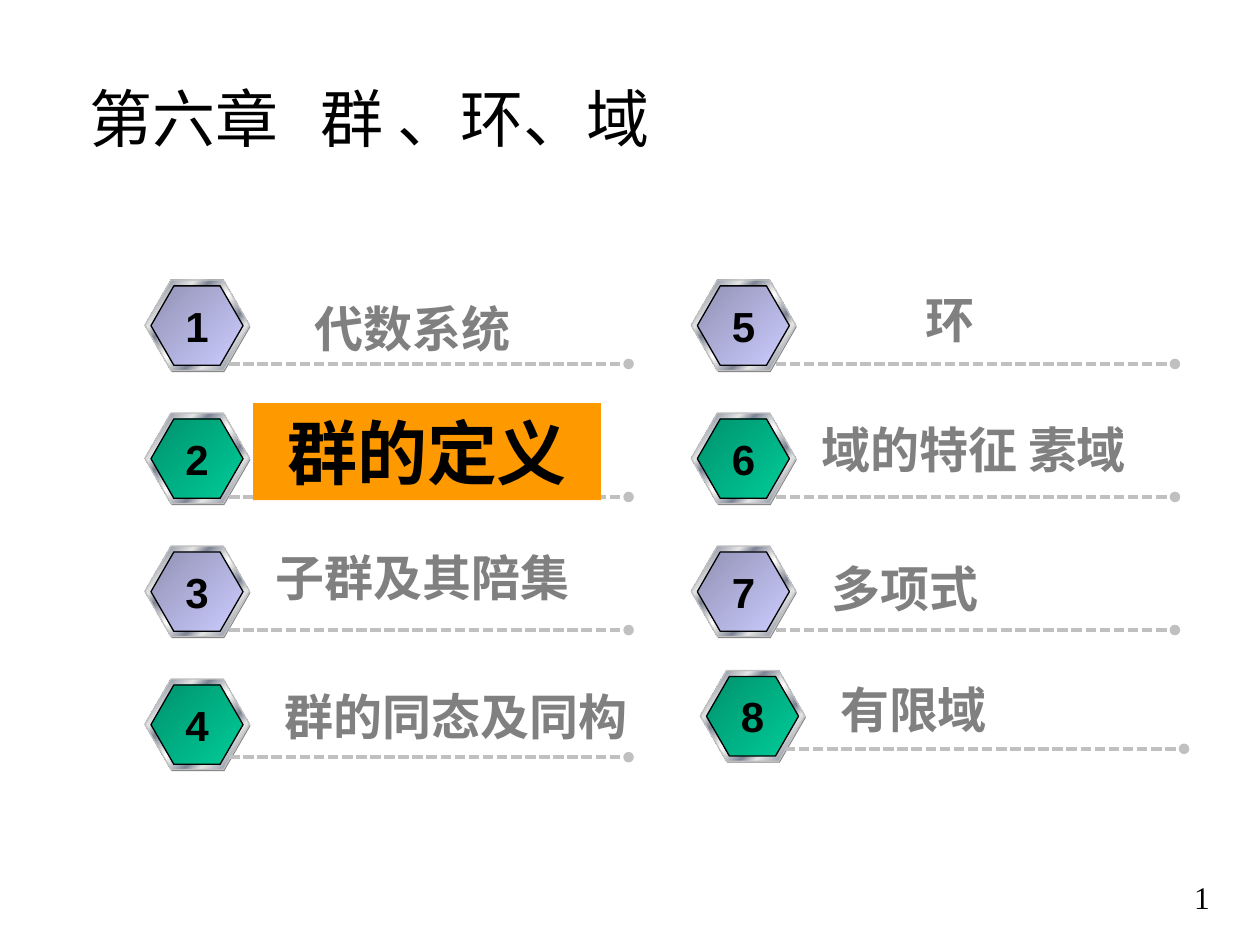
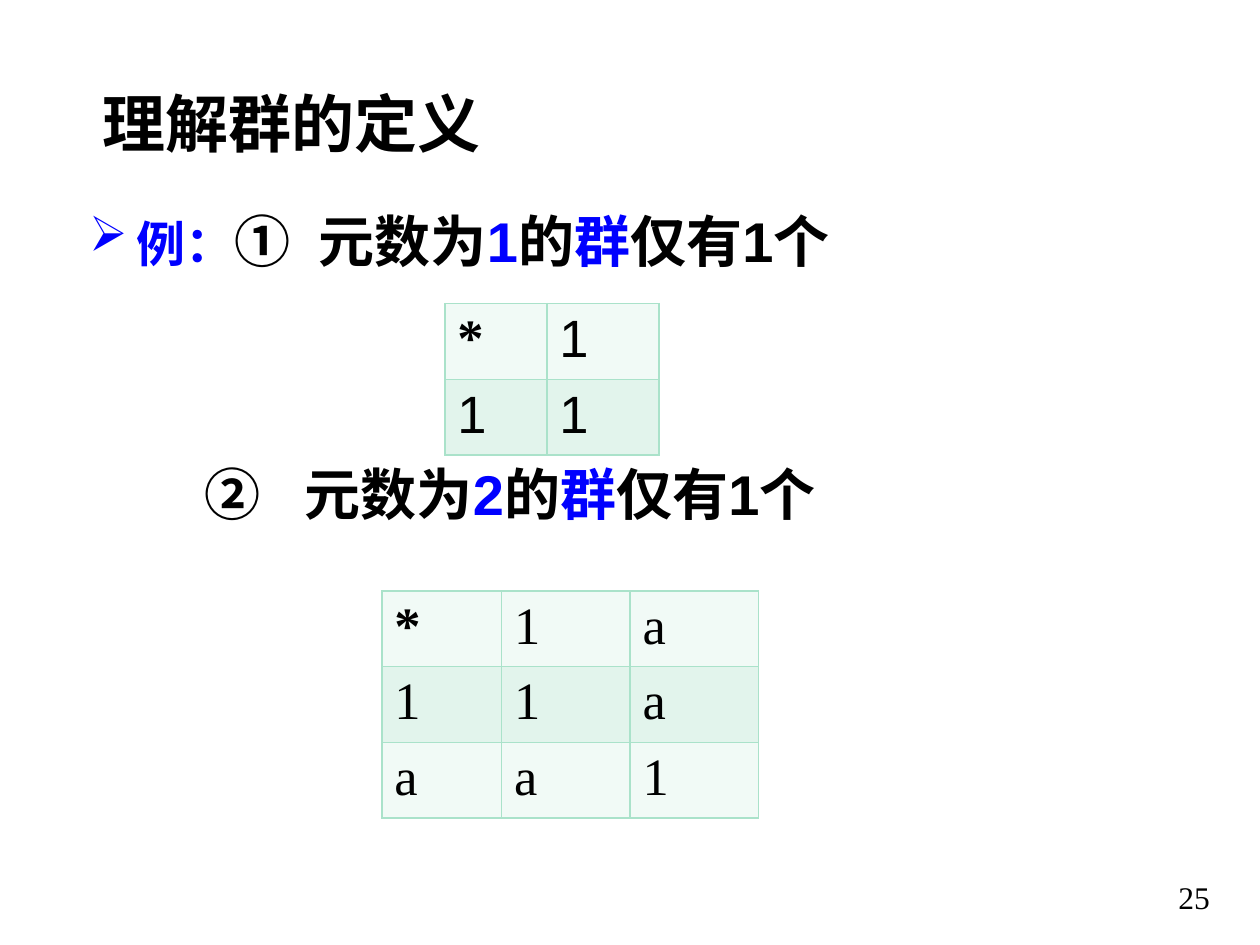
"""Build the chapter agenda and the worked-example slide on groups."""
from dataclasses import dataclass

from lxml.etree import SubElement
from pptx import Presentation
from pptx.dml.color import RGBColor
from pptx.enum.dml import MSO_LINE
from pptx.enum.shapes import MSO_CONNECTOR, MSO_SHAPE
from pptx.enum.text import MSO_ANCHOR, PP_ALIGN
from pptx.oxml.ns import qn
from pptx.util import Pt


@dataclass(frozen=True)
class Theme:
    black: str = "000000"
    grey: str = "808080"
    silver: str = "C0C0C0"
    blue: str = "0000FF"
    orange: str = "FF9900"
    border: str = "AAE2CA"
    bands: tuple = ("F1FAF6", "E2F4EC")
    lilac: tuple = ((0, "9292B6"), (100, "CCCCFF"))
    green: tuple = ((0, "00926D"), (100, "00CC99"))
    steel: tuple = ((0, "E6E6E6"), (8, "7D8496"), (26, "E6E6E6"), (34, "7D8496"),
                    (46, "E6E6E6"), (50, "FFFFFF"), (54, "E6E6E6"), (66, "7D8496"),
                    (74, "E6E6E6"), (92, "7D8496"), (100, "E6E6E6"))
    han: str = "Noto Sans CJK SC"
    sans: str = "Arial"
    serif: str = "Times New Roman"
    title_size: int = 36
    highlight_size: int = 40
    statement_size: int = 32
    cell_size: int = 30
    label_size: int = 28
    number_size: int = 24
    page_size: int = 18


THEME = Theme()

CHAPTER = [("第六章", 0), (" ", 16), ("群 、环、域", 0)]
SECTIONS = [
    ("代数系统", 172.8, 167, 132),
    ("群的定义", 144.7, 230.4, 198.7),
    ("子群及其陪集", 150.5, 309.6, 198),
    ("群的同态及同构", 155.5, 388.8, 215.3),
    ("环", 468, 162, 149.8),
    ("域的特征 素域", 462.2, 236.2, 209.5),
    ("多项式", 468, 315.4, 209.5),
    ("有限域", 473, 384.5, 215.3),
]
CURRENT = "群的定义"
CENTRED = (CURRENT, "环")
NUDGES = {8: (5.2, -4.8)}

EXAMPLE_TITLE = "理解群的定义"
STATEMENTS = [
    [("例：", THEME.blue, THEME.label_size, 0), ("①", THEME.black, THEME.statement_size, 0),
     (" ", THEME.black, THEME.statement_size, 8.9)],
    [("②", THEME.black, THEME.statement_size, 0),
     (" ", THEME.black, THEME.statement_size, 17.8)],
]
ORDERS = ["1", "2"]
CAYLEY_TABLES = [
    ((254.2, 173.5), (58.3, 64.1), THEME.sans, ["*1", "11"]),
    ((218.2, 337.7), (68.4, 73.4, 73.4), THEME.serif, ["*1a", "11a", "aa1"]),
]
CELL_HEIGHT = 43.2

ROWS = 4
COLUMN_LEFTS = (82.8, 395)
FIRST_TOP, ROW_STEP = 160, 76
BADGE = (59.8, 51.8)
FACE = (52.6, 45.4)


def colour(code):
    return RGBColor.from_string(code)


def style(run, size, ink=THEME.black, font=THEME.han, bold=True, gap=0):
    run.font.size = Pt(size)
    run.font.bold = bold
    run.font.name = font
    run.font.color.rgb = colour(ink)
    properties = run.font._element
    SubElement(properties, qn("a:ea")).set("typeface", THEME.han)
    if gap:
        properties.set("spc", str(round(gap * 100)))


def text_box(slide, left, top, width, height, wrap=True):
    box = slide.shapes.add_textbox(Pt(left), Pt(top), Pt(width), Pt(height))
    box.text_frame.word_wrap = wrap
    return box.text_frame


def write(frame, words, size, align=PP_ALIGN.LEFT, **looks):
    frame.text = words
    frame.paragraphs[0].alignment = align
    style(frame.paragraphs[0].runs[0], size, **looks)


def page_number(slide, number):
    frame = text_box(slide, 530.6, 498.2, 167.8, 28.8)
    write(frame, str(number), THEME.page_size, PP_ALIGN.RIGHT, font=THEME.serif, bold=False)


def hexagon(shapes, left, top, size, fill, outline=None):
    shape = shapes.add_shape(MSO_SHAPE.HEXAGON, Pt(left), Pt(top), *map(Pt, size))
    shape.shadow.inherit = False
    shape.adjustments[0] = 0.289
    if isinstance(fill, str):
        shape.fill.solid()
        shape.fill.fore_color.rgb = colour(fill)
    else:
        shape.fill.gradient()
        shape.fill.gradient_angle = 315
        stops = shape._element.spPr.find(qn("a:gradFill")).find(qn("a:gsLst"))
        for stop in list(stops):
            stops.remove(stop)
        for position, code in fill:
            stop = SubElement(stops, qn("a:gs"), pos=str(position * 1000))
            SubElement(stop, qn("a:srgbClr"), val=code)
    if outline:
        shape.line.color.rgb = colour(outline)
        shape.line.width = Pt(0.75)
    else:
        shape.line.fill.background()


def dotted_rule(slide, left, y, length):
    rule = slide.shapes.add_connector(
        MSO_CONNECTOR.STRAIGHT, Pt(left), Pt(y), Pt(left + length), Pt(y))
    rule.line.color.rgb = colour(THEME.silver)
    rule.line.width = Pt(2)
    rule.line.dash_style = MSO_LINE.SQUARE_DOT
    SubElement(rule.line._get_or_add_ln(), qn("a:tailEnd"), type="oval")
    SubElement(rule._element.spPr, qn("a:effectLst"))


def section_badge(slide, number):
    column, row = divmod(number - 1, ROWS)
    shift_x, shift_y = NUDGES.get(number, (0, 0))
    left = COLUMN_LEFTS[column] + shift_x
    top = FIRST_TOP + row * ROW_STEP + shift_y
    badge = slide.shapes.add_group_shape().shapes
    hexagon(badge, left + 0.5, top + 0.9, BADGE, THEME.grey)
    hexagon(badge, left, top, BADGE, THEME.steel, THEME.silver)
    face = THEME.green if row % 2 else THEME.lilac
    hexagon(badge, left + 3.5, top + 3.4, FACE, face, THEME.black)
    dotted_rule(slide, left + 48.2, top + (44.7 if row == ROWS - 1 else 48), 228.2)
    frame = text_box(slide, left + 15.8, top + 8, 28.1, 36, wrap=False)
    write(frame, str(number), THEME.number_size, PP_ALIGN.CENTER, font=THEME.sans)


def section_label(slide, words, left, top, width):
    align = PP_ALIGN.CENTER if words in CENTRED else PP_ALIGN.LEFT
    if words != CURRENT:
        frame = text_box(slide, left, top, width, 41)
        write(frame, words, THEME.label_size, align, ink=THEME.grey)
        return
    block = slide.shapes.add_shape(
        MSO_SHAPE.RECTANGLE, Pt(left), Pt(top), Pt(width), Pt(55.4))
    block.shadow.inherit = False
    block.fill.solid()
    block.fill.fore_color.rgb = colour(THEME.orange)
    block.line.fill.background()
    block.text_frame.vertical_anchor = MSO_ANCHOR.TOP
    write(block.text_frame, words, THEME.highlight_size, align)


def agenda_slide(slide):
    title = text_box(slide, 43.9, 41.8, 631.4, 69.8).paragraphs[0]
    for words, gap in CHAPTER:
        run = title.add_run()
        run.text = words
        style(run, THEME.title_size, bold=False, gap=gap)
    for number, section in enumerate(SECTIONS, 1):
        section_badge(slide, number)
        section_label(slide, *section)
    page_number(slide, 1)


def statements(slide):
    frame = text_box(slide, 43.9, 115.9, 653.8, 360)
    for index, (opening, order) in enumerate(zip(STATEMENTS, ORDERS)):
        paragraph = frame.add_paragraph() if index else frame.paragraphs[0]
        properties = paragraph._p.get_or_add_pPr()
        if index:
            properties.set("marL", str(Pt(66)))
            paragraph.space_before = Pt(107.6)
        else:
            properties.set("marL", str(Pt(27)))
            properties.set("indent", str(-Pt(27)))
        paragraph.line_spacing = Pt(37)
        if not index:
            bullet_ink = SubElement(properties, qn("a:buClr"))
            SubElement(bullet_ink, qn("a:srgbClr"), val=THEME.blue)
            SubElement(properties, qn("a:buChar"), char="➢")
        claim = [("元数为", THEME.black), (order, THEME.blue), ("的", THEME.black),
                 ("群", THEME.blue), ("仅有1个", THEME.black)]
        parts = opening + [(words, ink, THEME.statement_size, 0) for words, ink in claim]
        for words, ink, size, gap in parts:
            run = paragraph.add_run()
            run.text = words
            style(run, size, ink, THEME.sans, gap=gap)


def cayley_table(slide, corner, widths, font, rows):
    table = slide.shapes.add_table(
        len(rows), len(widths), *map(Pt, corner),
        Pt(sum(widths)), Pt(CELL_HEIGHT * len(rows))).table
    for column, width in zip(table.columns, widths):
        column.width = Pt(width)
    for row_index, elements in enumerate(rows):
        table.rows[row_index].height = Pt(CELL_HEIGHT)
        for column_index, element in enumerate(elements):
            cell = table.cell(row_index, column_index)
            operator = element == "*"
            write(cell.text_frame, element, THEME.cell_size, bold=operator,
                  font=THEME.serif if operator else font)
            properties = cell._tc.get_or_add_tcPr()
            for side in ("lnL", "lnR", "lnT", "lnB"):
                edge = SubElement(properties, qn(f"a:{side}"), w=str(Pt(1)))
                ink = SubElement(edge, qn("a:solidFill"))
                SubElement(ink, qn("a:srgbClr"), val=THEME.border)
            cell.fill.solid()
            cell.fill.fore_color.rgb = colour(THEME.bands[row_index % 2])


def example_slide(slide):
    statements(slide)
    for cayley in CAYLEY_TABLES:
        cayley_table(slide, *cayley)
    title = text_box(slide, 42.5, 44.6, 612, 52.6)
    title.margin_left = Pt(16.2)
    write(title, EXAMPLE_TITLE, THEME.title_size, font=THEME.serif)
    page_number(slide, 25)


def main():
    deck = Presentation()
    deck.slide_width, deck.slide_height = Pt(720), Pt(540)
    blank = deck.slide_layouts[6]
    for build in (agenda_slide, example_slide):
        build(deck.slides.add_slide(blank))
    deck.save("out.pptx")


if __name__ == "__main__":
    main()
